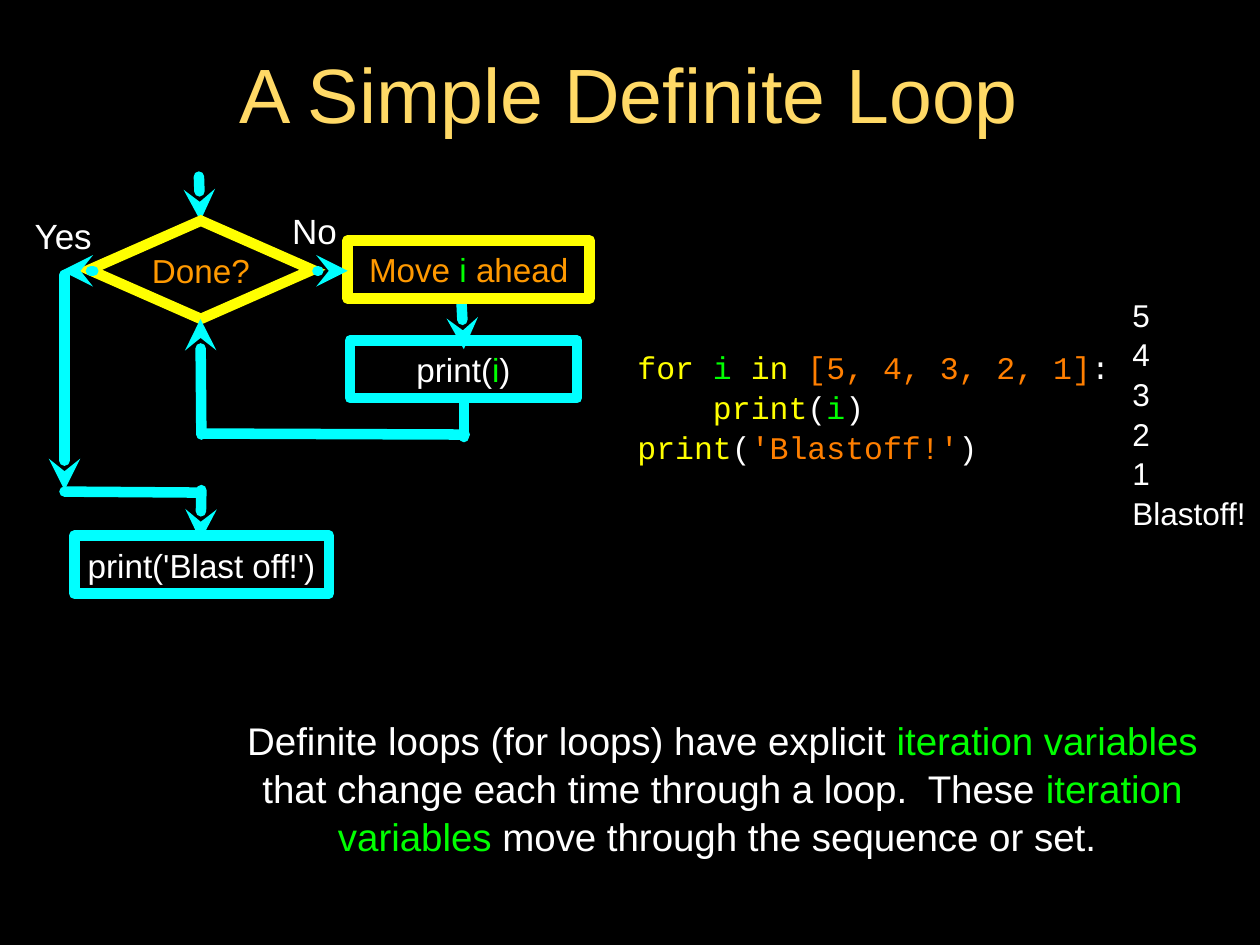
from dataclasses import dataclass
from lxml.etree import SubElement
from pptx import Presentation
from pptx.dml.color import RGBColor
from pptx.enum.shapes import MSO_CONNECTOR, MSO_SHAPE
from pptx.enum.text import MSO_ANCHOR, MSO_AUTO_SIZE, PP_ALIGN
from pptx.oxml.ns import qn
from pptx.util import Cm, Pt

COLORS = {
    "black": "000000", "white": "FFFFFF", "gold": "FFD966", "yellow": "FFFF00",
    "green": "00FF00", "orange": "FF9900", "amber": "FF7F00", "cyan": "00FFFF",
}
THICK = Pt(6)
LEFT, MID = PP_ALIGN.LEFT, PP_ALIGN.CENTER
BOX, GEM = MSO_SHAPE.RECTANGLE, MSO_SHAPE.DIAMOND


@dataclass
class Label:
    place: tuple
    lines: list
    size: int
    font: str = "Arial"
    align: PP_ALIGN = MID
    pitch: float = 1.0


@dataclass
class Node:
    label: Label
    edge: str
    kind: MSO_SHAPE = BOX
    join: str = "round"


@dataclass
class Link:
    start: tuple
    end: tuple
    arrow: bool = True


def color(name: str) -> RGBColor:
    return RGBColor.from_string(COLORS[name])


def write(frame, label: Label, inset: float = 0) -> None:
    frame.word_wrap = True
    frame.auto_size = MSO_AUTO_SIZE.NONE
    frame.vertical_anchor = MSO_ANCHOR.MIDDLE
    frame.margin_left = frame.margin_right = Cm(inset)
    frame.margin_top = frame.margin_bottom = Cm(inset)
    frame.text = "\n".join("" for _ in label.lines)
    for para, parts in zip(frame.paragraphs, label.lines):
        para.alignment = label.align
        para.line_spacing = label.pitch
        for text, tint in parts:
            run = para.add_run()
            run.text = text
            run.font.name = label.font
            run.font.size = Pt(label.size)
            run.font.color.rgb = color(tint)


def stroke(item, tint: str, join: str = "round", arrow: bool = False) -> None:
    item.line.color.rgb = color(tint)
    item.line.width = THICK
    line = item.line._get_or_add_ln()
    line.set("cap", "rnd")
    SubElement(line, qn(f"a:{join}"))
    if arrow:
        SubElement(line, qn("a:tailEnd"), type="stealth")


def add_label(slide, label: Label) -> None:
    box = slide.shapes.add_textbox(*map(Cm, label.place))
    write(box.text_frame, label)


def add_node(slide, node: Node) -> None:
    shape = slide.shapes.add_shape(node.kind, *map(Cm, node.label.place))
    shape.shadow.inherit = False
    shape.fill.background()
    stroke(shape, node.edge, node.join)
    write(shape.text_frame, node.label)


def add_link(slide, link: Link) -> None:
    ends = map(Cm, link.start + link.end)
    line = slide.shapes.add_connector(MSO_CONNECTOR.STRAIGHT, *ends)
    stroke(line, "cyan", arrow=link.arrow)
    SubElement(line._element.spPr, qn("a:effectLst"))


DRAW = {Label: add_label, Node: add_node, Link: add_link}

TITLE = Label((1.8, 0.97, 21.77, 1.78), [[("A Simple Definite Loop", "gold")]], 44)

ITEMS = [
    Label((12.85, 4.17, 9.6, 8.03), [
        [("for ", "yellow"), ("i ", "green"), ("in ", "yellow"),
         ("[5, 4, 3, 2, 1]", "amber"), (":", "white")],
        [("    ", "white"), ("print", "yellow"), ("(", "white"),
         ("i", "green"), (")", "white")],
        [("print", "yellow"), ("(", "white"),
         ("'Blastoff!'", "amber"), (")", "white")],
    ], 18, "Courier New", LEFT, 1.05),
    Label((22.83, 4.45, 2.49, 7.75),
          [[(text, "white")] for text in ("5", "4", "3", "2", "1", "Blastoff!")],
          18, align=LEFT, pitch=1.05),
    Link((4.01, 3.56), (4.04, 4.45)),
    Node(Label((1.8, 4.45, 4.5, 1.98), [[("Done?", "orange")]], 19),
         "yellow", GEM, "miter"),
    Link((4.06, 8.76), (4.04, 6.43)),
    Link((9.3, 6.02), (9.35, 7.04)),
    Link((9.35, 8.03), (9.35, 8.81), False),
    Link((4.06, 8.74), (9.37, 8.76), False),
    Link((1.88, 5.46), (1.24, 5.46)),
    Link((4.06, 9.88), (4.04, 10.9)),
    Link((1.3, 5.54), (1.3, 9.88)),
    Link((1.3, 9.91), (4.04, 9.93), False),
    Label((0.36, 4.27, 1.83, 0.97), [[("Yes", "white")]], 20),
    Node(Label((1.5, 10.8, 5.13, 1.17), [[("print('Blast off!')", "white")]], 19), "cyan"),
    Node(Label((7.06, 6.86, 4.57, 1.17),
               [[("print(", "white"), ("i", "green"), (")", "white")]], 19), "cyan"),
    Label((5.77, 4.17, 1.14, 0.97), [[("No", "white")]], 20),
    Node(Label((7.01, 4.85, 4.88, 1.17),
               [[("Move ", "orange"), ("i", "green"), (" ahead", "orange")]], 19), "yellow"),
    Label((4.8, 13.92, 19.53, 3.89), [[
        ("Definite loops (for loops) have explicit ", "white"),
        ("iteration variables ", "green"),
        ("that change each time through a loop.  These ", "white"),
        ("iteration variables", "green"),
        (" move through the sequence or set. ", "white"),
    ]], 22, pitch=1.05),
    Link((6.4, 5.46), (7.01, 5.46)),
]


def main() -> None:
    deck = Presentation()
    deck.slide_width, deck.slide_height = Cm(25.4), Cm(19.05)
    slide = deck.slides.add_slide(deck.slide_layouts[5])
    slide.background.fill.solid()
    slide.background.fill.fore_color.rgb = color("black")
    title = slide.shapes.title
    title.left, title.top, title.width, title.height = map(Cm, TITLE.place)
    write(title.text_frame, TITLE, 0.05)
    for item in ITEMS:
        DRAW[type(item)](slide, item)
    deck.save("out.pptx")


if __name__ == "__main__":
    main()
